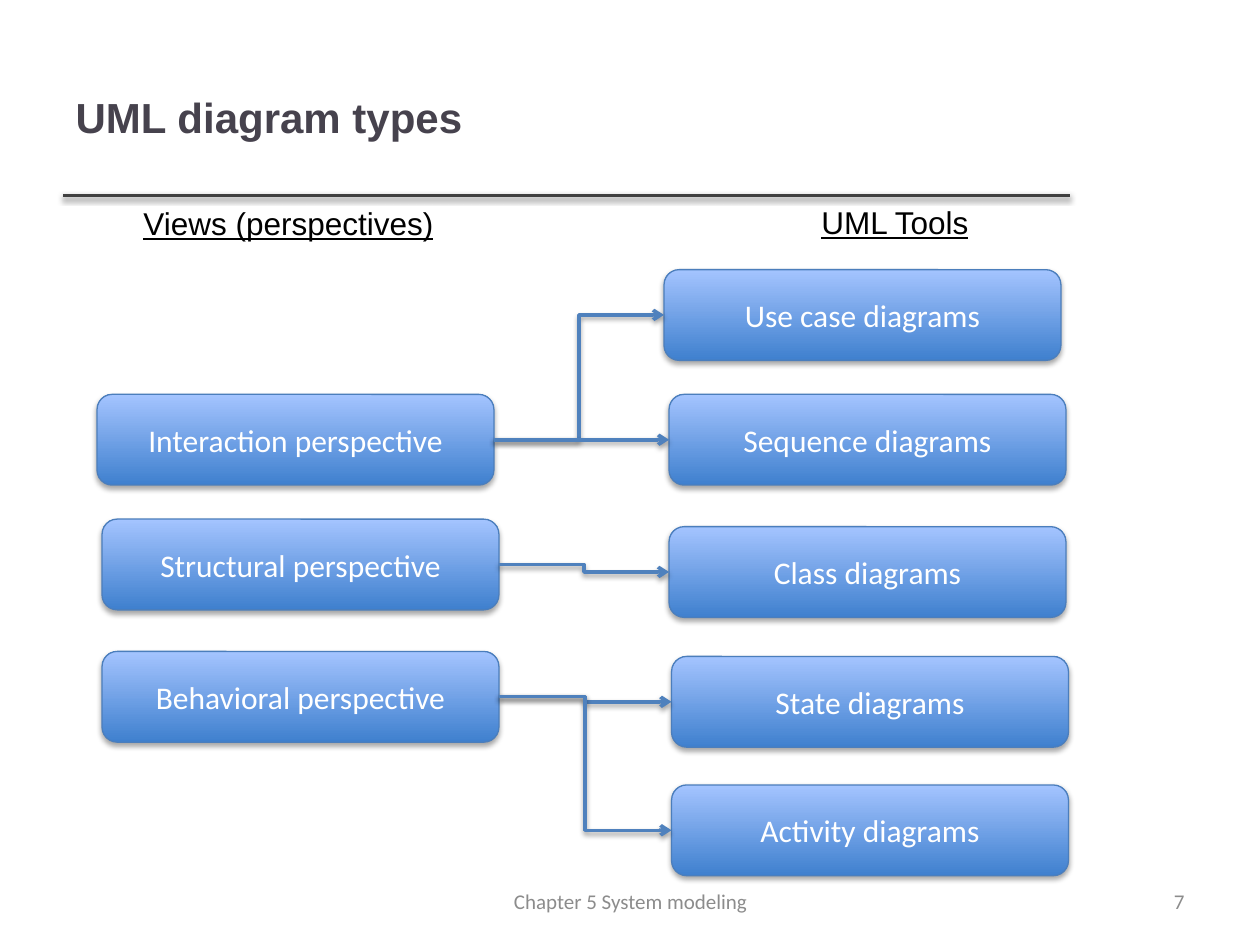
from lxml.etree import SubElement
from pptx import Presentation
from pptx.dml.color import RGBColor
from pptx.enum.shapes import MSO_CONNECTOR, MSO_SHAPE
from pptx.enum.text import MSO_ANCHOR, MSO_AUTO_SIZE, PP_ALIGN
from pptx.oxml.ns import qn
from pptx.util import Inches, Pt

COLORS = {
    "title": "46424D",
    "rule": "404040",
    "heading": "000000",
    "footer": "8C8C8C",
    "box_text": "FFFFFF",
    "box_bottom": "3F80CE",
    "box_top": "A4C4FF",
    "box_line": "4B7EBC",
    "arrow": "4F81BD",
    "shadow": "000000",
}
BOX_WIDTH, BOX_HEIGHT = 3.15, 0.72
RIGHT_SIDE, LEFT_SIDE = 3, 1


def color(name):
    return RGBColor.from_string(COLORS[name])


class DiagramSlide:
    fonts = {
        "title": {"name": "Arial", "size": Pt(24), "bold": True},
        "heading": {"name": "Arial", "size": Pt(18), "underline": True},
        "footer": {"name": "Calibri", "size": Pt(12)},
        "box_text": {"name": "Calibri", "size": Pt(18)},
    }

    def __init__(self, presentation):
        self.slide = presentation.slides.add_slide(presentation.slide_layouts[5])
        self.shapes = self.slide.shapes

    def fill_text(self, shape, text, style, align, anchor=MSO_ANCHOR.MIDDLE, wrap=True):
        frame = shape.text_frame
        frame.text = text
        frame_format = {
            "auto_size": MSO_AUTO_SIZE.NONE if wrap else MSO_AUTO_SIZE.SHAPE_TO_FIT_TEXT,
            "word_wrap": wrap,
            "vertical_anchor": anchor,
        }
        for name, value in frame_format.items():
            setattr(frame, name, value)
        paragraph = frame.paragraphs[0]
        paragraph.alignment = align
        font = paragraph.runs[0].font
        for name, value in self.fonts[style].items():
            setattr(font, name, value)
        font.color.rgb = color(style)

    def outline(self, shape, color_name, width):
        shape.line.color.rgb = color(color_name)
        shape.line.width = Pt(width)

    def cast_shadow(self, shape, opacity, distance):
        effects = SubElement(shape._element.spPr, qn("a:effectLst"))
        shadow = SubElement(effects, qn("a:outerShdw"), blurRad=str(Pt(3.1)),
                            dist=str(Pt(distance)), dir="5400000", rotWithShape="0")
        shade = SubElement(shadow, qn("a:srgbClr"), val=COLORS["shadow"])
        SubElement(shade, qn("a:alpha"), val=str(opacity * 1000))

    def title(self, text, left, top, width, height):
        title = self.shapes.title
        position = {"left": left, "top": top, "width": width, "height": height}
        for name, value in position.items():
            setattr(title, name, Inches(value))
        self.fill_text(title, text, "title", PP_ALIGN.LEFT)

    def text(self, text, left, top, width, style, align, **options):
        box = self.shapes.add_textbox(Inches(left), Inches(top), Inches(width), Inches(0.4))
        self.fill_text(box, text, style, align, **options)

    def heading(self, text, left, top, width):
        self.text(text, left, top, width, "heading", PP_ALIGN.LEFT,
                  anchor=MSO_ANCHOR.TOP, wrap=False)

    def box(self, text, left, top):
        box = self.shapes.add_shape(
            MSO_SHAPE.ROUNDED_RECTANGLE,
            Inches(left), Inches(top), Inches(BOX_WIDTH), Inches(BOX_HEIGHT))
        box.fill.gradient()
        box.fill.gradient_angle = 90
        for stop, position, name in zip(box.fill.gradient_stops, (0, 1), ("box_bottom", "box_top")):
            stop.position = position
            stop.color.rgb = color(name)
        self.outline(box, "box_line", 0.75)
        self.cast_shadow(box, 35, 1.8)
        self.fill_text(box, text, "box_text", PP_ALIGN.CENTER)
        return box

    def line(self, kind, color_name, start=(0, 0), end=(0, 0)):
        line = self.shapes.add_connector(kind, *(Inches(value) for value in start + end))
        self.outline(line, color_name, 2)
        self.cast_shadow(line, 38, 1.6)
        return line

    def arrow(self, source, target):
        arrow = self.line(MSO_CONNECTOR.ELBOW, "arrow")
        arrow.begin_connect(source, RIGHT_SIDE)
        arrow.end_connect(target, LEFT_SIDE)
        SubElement(arrow.line._get_or_add_ln(), qn("a:tailEnd"), type="arrow")


def main():
    presentation = Presentation()
    presentation.slide_width = Inches(10)
    presentation.slide_height = Inches(7.5)

    diagram = DiagramSlide(presentation)
    diagram.line(MSO_CONNECTOR.STRAIGHT, "rule", (0.5, 1.55), (8.49, 1.55))
    diagram.title("UML diagram types", 0.5, 0.3, 7.98, 1.25)
    diagram.text("Chapter 5 System modeling", 3.42, 6.95, 3.17, "footer", PP_ALIGN.CENTER)
    diagram.text("7", 7.17, 6.95, 2.33, "footer", PP_ALIGN.RIGHT)

    perspectives = [
        ("Interaction", 0.77, 3.13, [("Use case", 5.27, 2.14), ("Sequence", 5.31, 3.13)]),
        ("Structural", 0.81, 4.12, [("Class", 5.31, 4.18)]),
        ("Behavioral", 0.81, 5.17, [("State", 5.33, 5.21), ("Activity", 5.33, 6.23)]),
    ]
    links = []
    for view, left, top, tools in perspectives:
        source = diagram.box(f"{view} perspective", left, top)
        for tool, tool_left, tool_top in tools:
            links.append((source, diagram.box(f"{tool} diagrams", tool_left, tool_top)))
    for source, target in links:
        diagram.arrow(source, target)

    diagram.heading("Views (perspectives)", 1.04, 1.57, 2.53)
    diagram.heading("UML Tools", 6.42, 1.56, 1.38)
    presentation.save("out.pptx")


if __name__ == "__main__":
    main()
